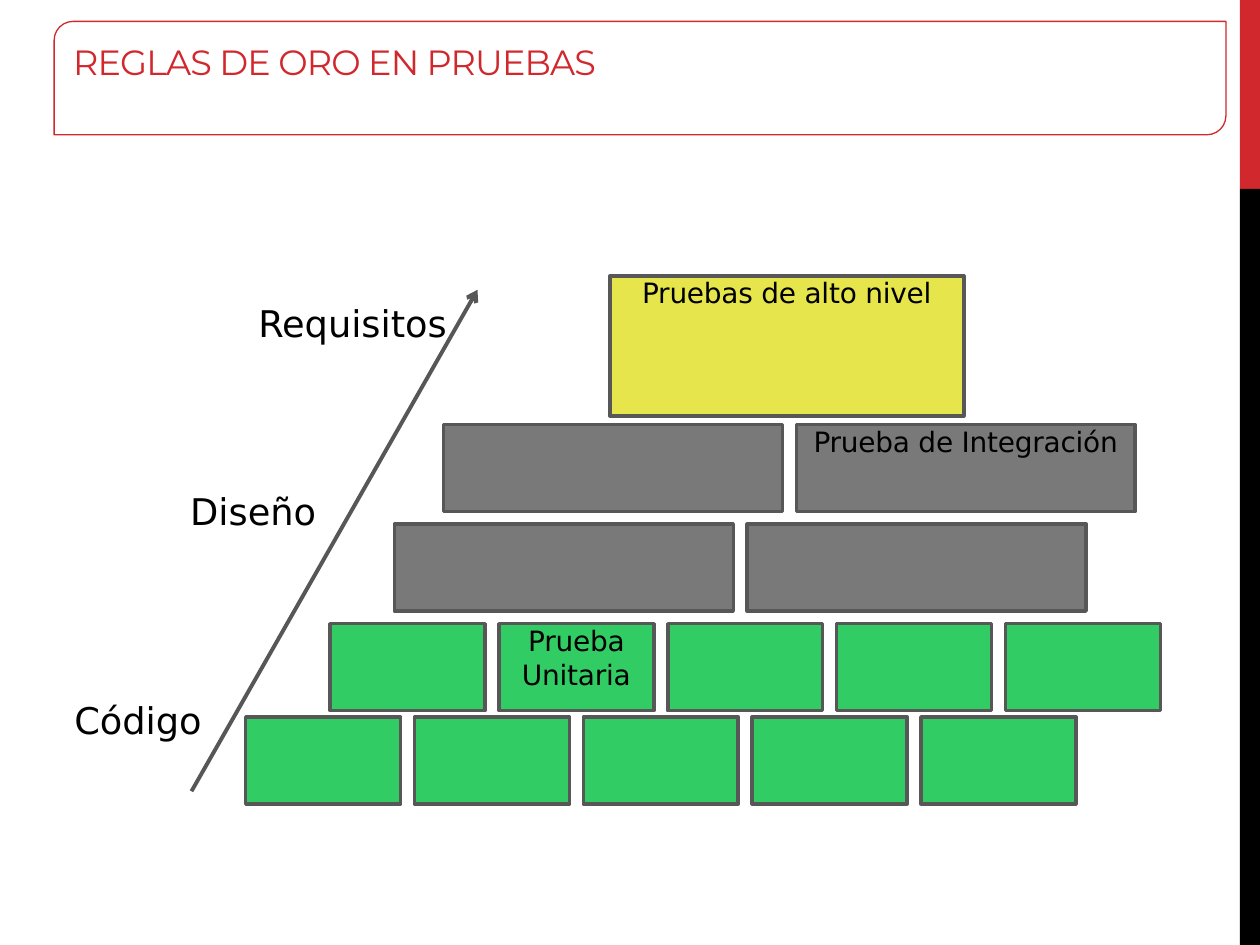
from pptx import Presentation
from pptx.dml.color import RGBColor
from pptx.enum.shapes import MSO_CONNECTOR as CONN, MSO_SHAPE as SHAPE
from pptx.enum.text import MSO_ANCHOR as ANCHOR, PP_ALIGN as ALIGN
from pptx.oxml.ns import qn
from pptx.util import Inches, Pt
from lxml import etree

RED, BLACK, OUTLINE = "D1282D", "000000", "575757"
GREEN, GRAY, YELLOW = "32CC65", "797979", "E6E64C"


def rgb(value):
    """Turn a hex string into a colour."""
    return RGBColor.from_string(value)


def write(tf, text, size=16, font="DejaVu Sans", color=BLACK, align=ALIGN.LEFT,
          wrap=True, margin=0, spacing=0):
    """Fill a text frame with one formatted paragraph."""
    tf.word_wrap = wrap
    tf.vertical_anchor = ANCHOR.TOP
    tf.margin_left = tf.margin_right = Inches(margin)
    tf.margin_top = tf.margin_bottom = 0
    p = tf.paragraphs[0]
    p.alignment = align
    p.line_spacing = 1.0
    p.space_before = Pt(0)
    r = p.add_run()
    r.text = text
    r.font.size = Pt(size)
    r.font.name = font
    r.font.color.rgb = rgb(color)
    r.font._element.set("spc", str(spacing))


def add_box(s, x, y, w, h, fill=None, line=None, width=2, kind=SHAPE.RECTANGLE):
    """Add a flat shape with an optional fill and outline."""
    sp = s.shapes.add_shape(kind, Inches(x), Inches(y), Inches(w), Inches(h))
    sp.shadow.inherit = False
    if fill:
        sp.fill.solid()
        sp.fill.fore_color.rgb = rgb(fill)
    else:
        sp.fill.background()
    if line:
        sp.line.color.rgb = rgb(line)
        sp.line.width = Pt(width)
    else:
        sp.line.fill.background()
    return sp


def add_row(s, x, y, w, h, count, gap, fill, labels):
    """Add a row of equal bricks, labelled by position."""
    for i in range(count):
        sp = add_box(s, x + i * (w + gap), y, w, h, fill, OUTLINE)
        if i in labels:
            write(sp.text_frame, labels[i], align=ALIGN.CENTER, margin=0.1, spacing=-10)


def add_label(s, text, x, y, w):
    """Add a level name beside the arrow."""
    sp = s.shapes.add_textbox(Inches(x), Inches(y), Inches(w), Inches(0.32))
    write(sp.text_frame, text, size=21, wrap=False)


def add_arrow(s, x1, y1, x2, y2):
    """Add a straight line with an open arrowhead at its end."""
    c = s.shapes.add_connector(CONN.STRAIGHT, Inches(x1), Inches(y1), Inches(x2), Inches(y2))
    c.line.color.rgb = rgb(OUTLINE)
    c.line.width = Pt(2.25)
    etree.SubElement(c.line._get_or_add_ln(), qn("a:tailEnd"), type="arrow")
    etree.SubElement(c._element.spPr, qn("a:effectLst"))


def add_title(s, text):
    """Place and fill the title placeholder inside its frame."""
    add_box(s, 0.43, 0.17, 9.3, 0.9, line=RED, width=0.75, kind=SHAPE.ROUND_2_DIAG_RECTANGLE)
    sp = s.shapes.title
    sp.left, sp.top, sp.width, sp.height = map(Inches, (0.58, 0.32, 9, 0.31))
    write(sp.text_frame, text, size=20, font="Montserrat", color=RED, spacing=-50)


def main():
    """Build the slide and save it."""
    prs = Presentation()
    prs.slide_width, prs.slide_height = Inches(10), Inches(7.5)
    s = prs.slides.add_slide(prs.slide_layouts[5])
    add_box(s, 9.84, 0, 0.16, 1.5, RED)
    add_box(s, 9.84, 1.5, 0.16, 6, BLACK)
    add_title(s, "REGLAS DE ORO EN PRUEBAS")
    add_arrow(s, 1.52, 6.28, 3.79, 2.3)
    for text, x, y, w in [("Requisitos", 2.05, 2.39, 1.53), ("Diseño", 1.51, 3.88, 1.03),
                          ("Código", 0.59, 5.54, 1.04)]:
        add_label(s, text, x, y, w)
    for x, y, w, h, count, fill, labels in [
        (1.95, 5.69, 1.23, 0.69, 5, GREEN, {}),
        (2.62, 4.95, 1.23, 0.69, 5, GREEN, {1: "Prueba Unitaria"}),
        (3.13, 4.16, 2.69, 0.69, 2, GRAY, {}),
        (3.52, 3.37, 2.69, 0.69, 2, GRAY, {1: "Prueba de Integración"}),
        (4.84, 2.19, 2.81, 1.11, 1, YELLOW, {0: "Pruebas de alto nivel"}),
    ]:
        add_row(s, x, y, w, h, count, 0.11, fill, labels)
    prs.save("out.pptx")


if __name__ == "__main__":
    main()
